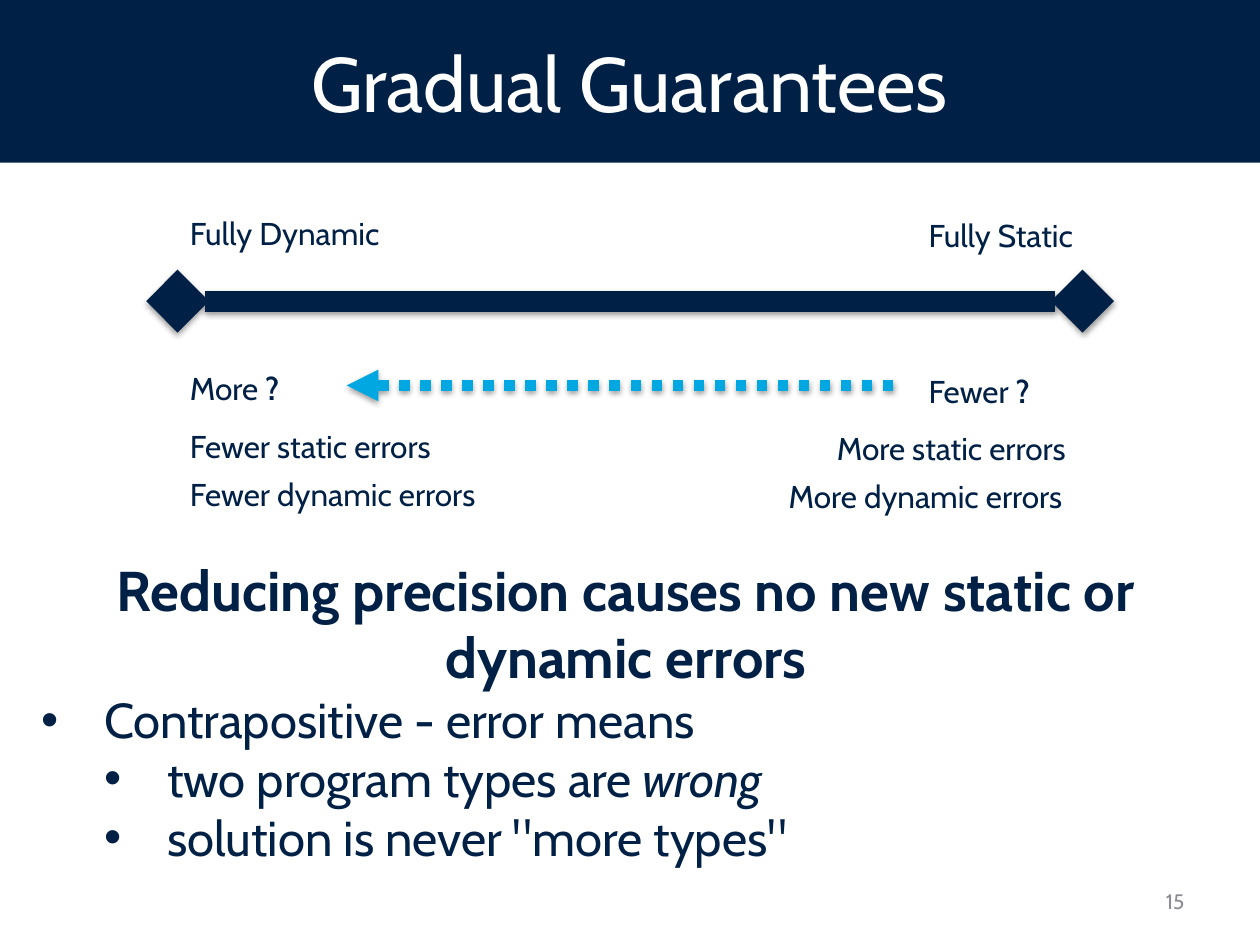
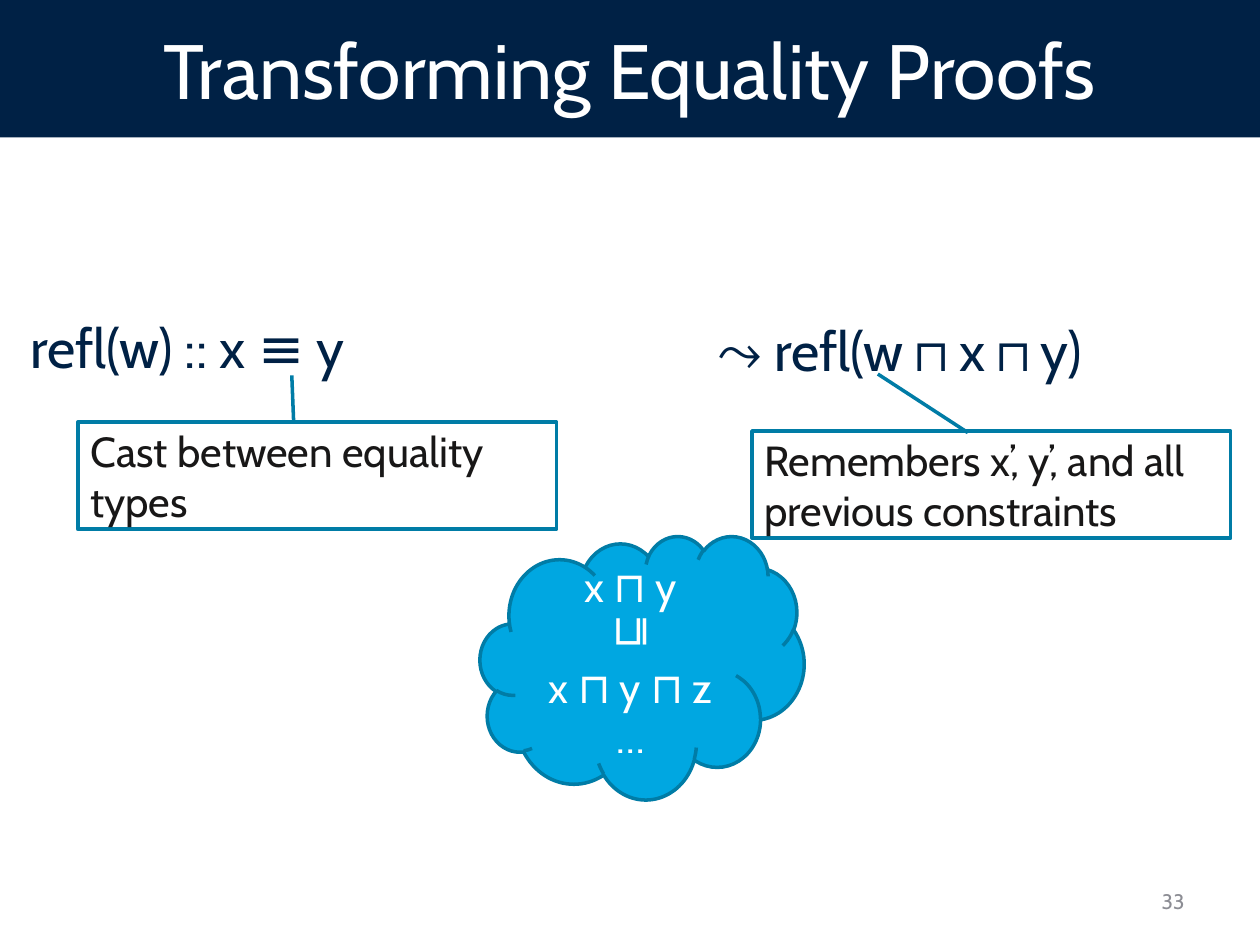
"""Build two slides on gradual guarantees and equality proofs."""
from lxml import etree
from pptx import Presentation
from pptx import util as u
from pptx.dml.color import RGBColor
from pptx.enum import dml, shapes, text
from pptx.oxml.ns import qn

FONT = "Cabin"
COLOURS = {"navy": "002145", "sky": "00A7E1", "teal": "007CA6", "white": "FFFFFF",
           "ink": "181717", "grey": "8C8D94", "black": "000000"}
PAGE_WIDTH, PAGE_HEIGHT = 25.4, 19.05
LEFT, CENTRE, RIGHT = text.PP_ALIGN.LEFT, text.PP_ALIGN.CENTER, text.PP_ALIGN.RIGHT
TOP, MIDDLE = text.MSO_ANCHOR.TOP, text.MSO_ANCHOR.MIDDLE
SHAPE = shapes.MSO_SHAPE

LABEL_LEFT, LABEL_RIGHT, LABEL_DROP, LABEL_HEIGHT = 3.58, 22.46, 0.05, 1.02
MARK = ("?", {"bold": True})
LABEL_ROWS = [
    (4.19, ["Fully Dynamic"], ["Fully Static"], 3.99),
    (7.32, ["More ", MARK], ["Fewer ", MARK], 3.99),
    (8.48, ["Fewer static errors"], ["More static errors"], 5.84),
    (9.45, ["Fewer dynamic errors"], ["More dynamic errors"], 6.81),
]
SCALE_LINES = [
    {"start": 3.58, "end": 21.82, "y": 6.07, "colour": "navy", "width": 12,
     "ends": {"headEnd": "diamond", "tailEnd": "diamond"}},
    {"start": 18.01, "end": 6.99, "y": 7.77, "colour": "sky", "width": 6,
     "dash": dml.MSO_LINE.ROUND_DOT, "ends": {"tailEnd": "triangle"}},
]
HEADLINE = "Reducing precision causes no new static or dynamic errors"
BULLETS = [
    (0, ["Contrapositive - error means"]),
    (1, ["two program types are ", ("wrong", {"italic": True})]),
    (1, ['solution is never "more types"']),
]
BULLET_INDENT = 1.27

TERMS = [
    ("refl(w) :: x ≡ y", (0.36, 6.2, 13.94, 1.6)),
    (" ⤳ refl(w ⊓ x ⊓ y)", (13.97, 6.25, 9.65, 1.6)),
]
CALLOUT_SIZE = (9.65, 2.16)
CALLOUTS = [
    ("Cast between equality types", (1.57, 8.51), (0.015, 0.451, -0.436, 0.447)),
    ("Remembers x’, y’, and all previous constraints", (15.16, 8.69),
     (0.015, 0.451, -0.532, 0.263)),
]
CLOUD_BOX = (9.68, 10.8, 6.53, 5.31)
CLOUD_LINES = [("x ⊓ y", 0), ("x ⊓ y ⊓ z", 29), ("…", 0)]
ORDER_SIGN, ORDER_BOX = "⊑", (11.99, 12.12, 1.55, 1.22)


def rgb(name):
    return RGBColor.from_string(COLOURS[name])


def cm(values):
    return [u.Cm(value) for value in values]


def write(para, spans, size, colour, align=LEFT, **font):
    para.alignment = align
    for item in spans:
        words, extra = (item, {}) if isinstance(item, str) else item
        span = para.add_run()
        span.text = words
        span.font.color.rgb = rgb(colour)
        values = {"name": FONT, "size": u.Pt(size), **font, **extra}
        for key, value in values.items():
            setattr(span.font, key, value)


def set_frame(box, anchor):
    frame = box.text_frame
    for key, value in {"word_wrap": True, "vertical_anchor": anchor}.items():
        setattr(frame, key, value)
    return frame


def add_text(page, place, spans, size, colour, align=LEFT, anchor=TOP, **font):
    box = page.shapes.add_textbox(*cm(place))
    frame = set_frame(box, anchor)
    write(frame.paragraphs[0], spans, size, colour, align, **font)
    return box


def add_filled(page, kind, place, fill, outline=None):
    shape = page.shapes.add_shape(kind, *cm(place))
    shape.shadow.inherit = False
    shape.fill.solid()
    shape.fill.fore_color.rgb = rgb(fill)
    if outline:
        shape.line.color.rgb = rgb(outline)
        shape.line.width = u.Pt(2)
    else:
        shape.line.fill.background()
    return shape, set_frame(shape, MIDDLE)


def add_page(deck, title, band_height, number):
    page = deck.slides.add_slide(deck.slide_layouts[6])
    _, frame = add_filled(page, SHAPE.RECTANGLE, (0, 0, PAGE_WIDTH, band_height), "navy")
    write(frame.paragraphs[0], [title], 44, "white", CENTRE)
    add_text(page, (18.21, 17.65, 5.92, 1.02), [number], 12, "grey", RIGHT, MIDDLE)
    return page


def add_shadow(line):
    effects = etree.SubElement(line._element.spPr, qn("a:effectLst"))
    shadow = etree.SubElement(effects, qn("a:outerShdw"), blurRad="40000", dist="20000",
                              dir="5400000", rotWithShape="0")
    colour = etree.SubElement(shadow, qn("a:srgbClr"), val=COLOURS["black"])
    etree.SubElement(colour, qn("a:alpha"), val="38000")


def add_scale_line(page, start, end, y, colour, width, ends, dash=None):
    line = page.shapes.add_connector(shapes.MSO_CONNECTOR.STRAIGHT, *cm((start, y, end, y)))
    line.line.color.rgb = rgb(colour)
    line.line.width = u.Pt(width)
    if dash:
        line.line.dash_style = dash
    for tag, kind in ends.items():
        etree.SubElement(line.line._get_or_add_ln(), qn(f"a:{tag}"), type=kind)
    add_shadow(line)


def add_bullet(frame, level, spans):
    para = frame.add_paragraph()
    para.level = level
    write(para, spans, 28, "navy")
    properties = para._p.get_or_add_pPr()
    properties.set("marL", str(u.Cm(BULLET_INDENT * (level + 1))))
    properties.set("indent", str(-u.Cm(BULLET_INDENT)))
    etree.SubElement(properties, qn("a:buFont"), typeface="Arial")
    etree.SubElement(properties, qn("a:buChar"), char="•")


def build_guarantees(deck):
    page = add_page(deck, "Gradual Guarantees", 3.28, "15")
    for line in SCALE_LINES:
        add_scale_line(page, **line)
    for top, dynamic, static, width in LABEL_ROWS:
        add_text(page, (LABEL_LEFT, top, 6.9, LABEL_HEIGHT), dynamic, 18, "navy")
        add_text(page, (LABEL_RIGHT - width, top + LABEL_DROP, width, LABEL_HEIGHT),
                 static, 18, "navy")
    box = add_text(page, (0.58, 11.07, 24.08, 6.58), [HEADLINE], 32, "navy", CENTRE, bold=True)
    for level, spans in BULLETS:
        add_bullet(box.text_frame, level, spans)


def build_proofs(deck):
    page = add_page(deck, "Transforming Equality Proofs", 2.77, "33")
    for words, place in TERMS:
        add_text(page, place, [words], 31.5, "navy")
    for words, corner, pointer in CALLOUTS:
        callout, frame = add_filled(page, SHAPE.LINE_CALLOUT_1, corner + CALLOUT_SIZE,
                                    "white", "teal")
        for index, value in enumerate(pointer):
            callout.adjustments[index] = value
        write(frame.paragraphs[0], [words], 24, "ink")
    _, frame = add_filled(page, SHAPE.CLOUD, CLOUD_BOX, "sky", "teal")
    for index, (words, gap) in enumerate(CLOUD_LINES):
        para = frame.add_paragraph() if index else frame.paragraphs[0]
        para.space_before = u.Pt(gap)
        write(para, [words], 24, "white", CENTRE)
    sign = add_text(page, ORDER_BOX, [ORDER_SIGN], 24, "white")
    sign.text_frame._txBody.bodyPr.set("vert", "vert270")


def main():
    deck = Presentation()
    deck.slide_width, deck.slide_height = cm((PAGE_WIDTH, PAGE_HEIGHT))
    build_guarantees(deck)
    build_proofs(deck)
    deck.save("out.pptx")


if __name__ == "__main__":
    main()
